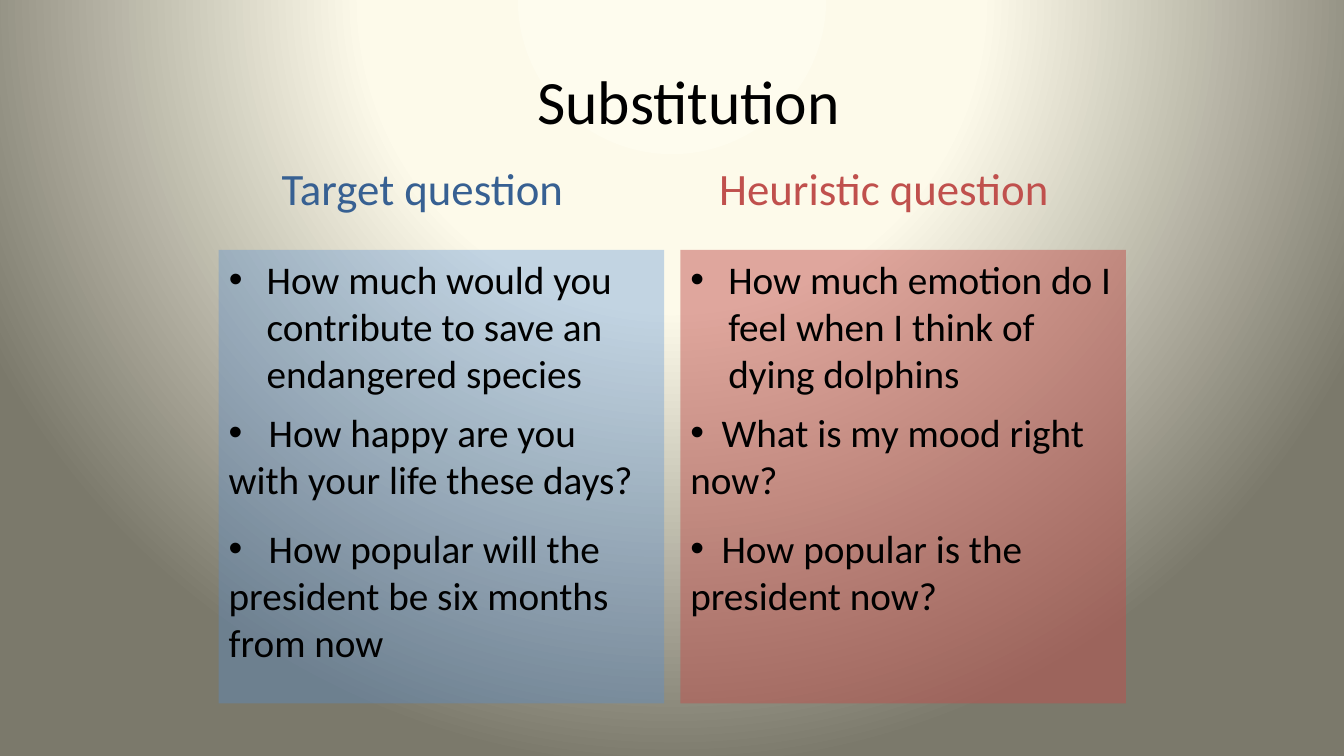
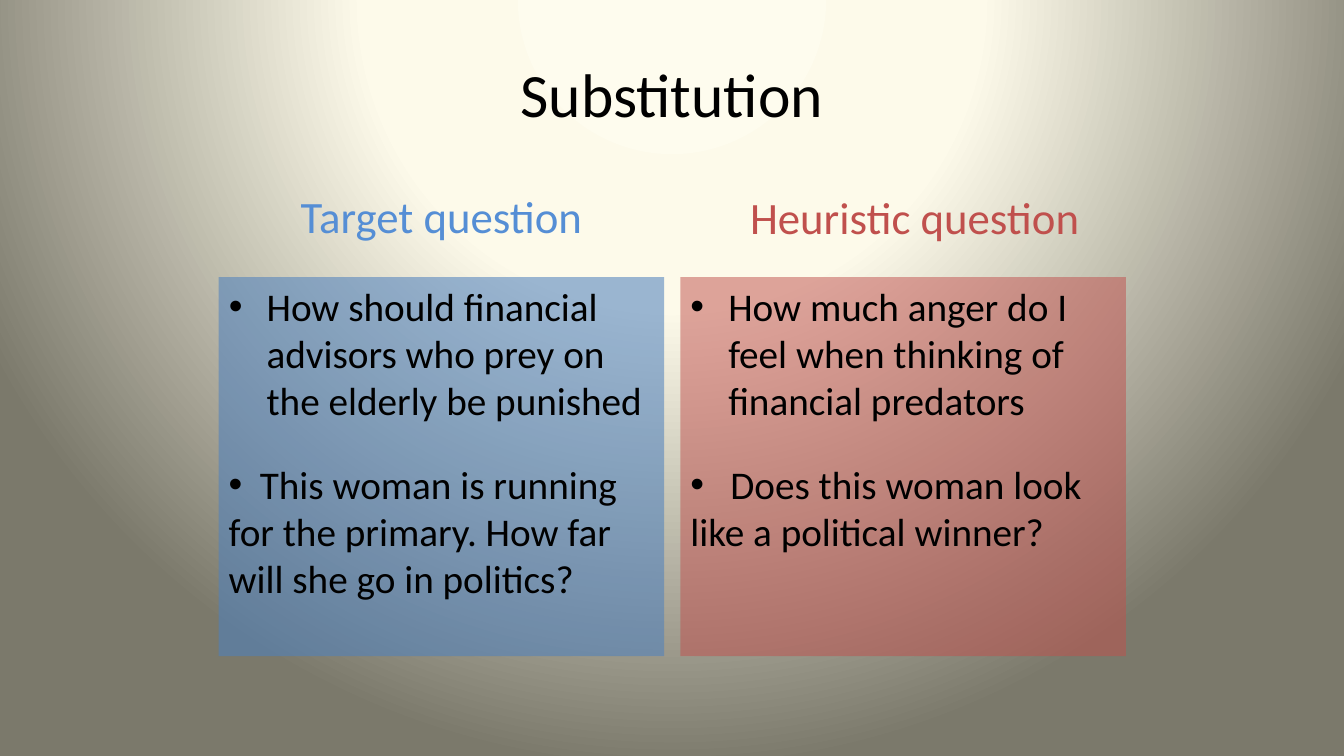
from pptx import Presentation
from pptx.dml.color import RGBColor
from pptx.enum import text
from pptx.oxml import parse_xml
from pptx.oxml.ns import nsdecls, qn
from pptx.util import Pt

FONT = "Calibri"
BLACK, RED = "000000", "C0504D"
COLUMNS = (156.24, 486)
COLUMN_W = 318.24
BACKGROUND = f"""<p:bg {nsdecls("p", "a")}><p:bgPr><a:gradFill rotWithShape="1"><a:gsLst>
<a:gs pos="0"><a:srgbClr val="FEFCEE"/></a:gs>
<a:gs pos="40000"><a:srgbClr val="FDFAEA"/></a:gs>
<a:gs pos="100000"><a:srgbClr val="7B796B"/></a:gs></a:gsLst>
<a:path path="circle"><a:fillToRect l="50000" t="-80000" r="50000" b="180000"/></a:path>
</a:gradFill><a:effectLst/></p:bgPr></p:bg>"""

# Boxes are left, top, width, height; questions are top, height, bullet gap, wording.
SLIDES = [
    dict(
        title=(168, 34, 648, 75), panel=(178.5, 324),
        columns=[
            dict(heading="Target question", box=(156.24, 96.5, 291, 75),
                 color="376092", fill="558ED5", opacity=35,
                 first="How much would you contribute to save an endangered species",
                 questions=[
                     (288, 108.7, 28.6, "How happy are you with your life these days?"),
                     (371, 143.3, 28.6, "How popular will the president be six months from now")]),
            dict(heading="Heuristic question", box=(486, 96.5, 291, 75),
                 color=RED, fill=RED, opacity=49,
                 first="How much emotion do I feel when I think of dying dolphins",
                 questions=[
                     (288, 97.2, 22.3, "What is my mood right now?"),
                     (371, 97.2, 22.3, "How popular is the president now?")]),
        ]),
    dict(
        title=(48, 21.6, 864, 90), panel=(198, 270.7),
        columns=[
            dict(heading="Target question", box=(156.24, 124, 318.24, 60),
                 color="558ED5", fill="4F81BD", opacity=57,
                 first="How should financial advisors who prey on the elderly be punished",
                 questions=[
                     (325.4, 143.3, 22.3,
                      "This woman is running for the primary. How far will she go in politics?")]),
            dict(heading="Heuristic question", box=(486, 111.6, 335, 86.4),
                 color=RED, fill=RED, opacity=51,
                 first="How much anger do I feel when thinking of financial predators",
                 questions=[
                     (325.4, 108.7, 28.6, "Does this woman look like a political winner?")]),
        ]),
]


def rgb(value):
    """Return the colour for a hex string."""
    return RGBColor.from_string(value)


def write(sp, box, words, size, color=BLACK, centred=False):
    """Place a shape in points, fill in its one paragraph and return that paragraph."""
    sp.left, sp.top, sp.width, sp.height = map(Pt, box)
    tf = sp.text_frame
    tf.word_wrap = True
    tf.auto_size = text.MSO_AUTO_SIZE.NONE
    p = tf.paragraphs[0]
    p.text = words
    p.font.name, p.font.size = FONT, Pt(size)
    p.font.color.rgb = rgb(color)
    if centred:
        tf.vertical_anchor = text.MSO_ANCHOR.MIDDLE
        p.alignment = text.PP_ALIGN.CENTER
    return p


prs = Presentation()
prs.slide_width, prs.slide_height = Pt(960), Pt(540)
bg = prs.slide_master.element.find(".//" + qn("p:bg"))
bg.getparent().replace(bg, parse_xml(BACKGROUND))
two_content = prs.slide_layouts.get_by_name("Two Content")

for content in SLIDES:
    slide = prs.slides.add_slide(two_content)
    write(slide.shapes.title, content["title"], "Substitution", 44, centred=True)
    panel_top, panel_h = content["panel"]
    panels = list(slide.placeholders)[1:]

    for left, panel, column in zip(COLUMNS, panels, content["columns"]):
        write(panel, (left, panel_top, COLUMN_W, panel_h), column["first"], 28)
        panel.fill.solid()
        panel.fill.fore_color.rgb = rgb(column["fill"])
        tint = panel.element.spPr.find(".//" + qn("a:srgbClr"))
        tint.append(parse_xml(f'<a:alpha {nsdecls("a")} val="{column["opacity"] * 1000}"/>'))

        heading = slide.shapes.add_textbox(0, 0, 0, 0)
        write(heading, column["box"], column["heading"], 32, column["color"], centred=True)

        for top, height, gap, words in column["questions"]:
            question = slide.shapes.add_textbox(0, 0, 0, 0)
            p = write(question, (left, top, COLUMN_W, height), "\t" + words, 28)
            question.text_frame.auto_size = text.MSO_AUTO_SIZE.SHAPE_TO_FIT_TEXT
            bullet = (
                f'<a:buFont {nsdecls("a")} typeface="Arial"/>',
                f'<a:buChar {nsdecls("a")} char="•"/>',
                f'<a:tabLst {nsdecls("a")}><a:tab pos="{Pt(gap)}" algn="l"/></a:tabLst>',
            )
            for i, xml in enumerate(bullet):
                p._p.get_or_add_pPr().insert(i, parse_xml(xml))

prs.save("out.pptx")
